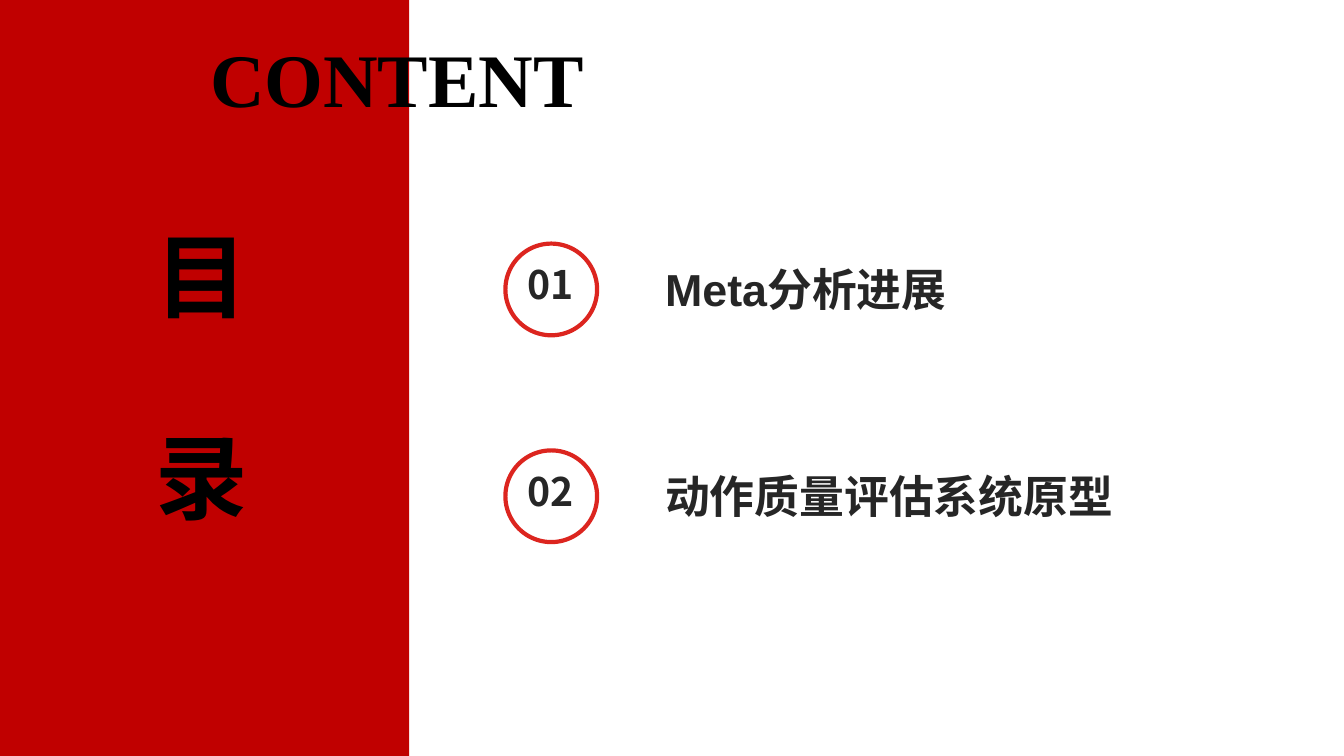
from dataclasses import dataclass

from lxml import etree
from pptx import Presentation
from pptx import util as u
from pptx.dml.color import RGBColor
from pptx.enum import shapes, text
from pptx.oxml import ns

RED = RGBColor(0xC0, 0x00, 0x00)
RING = RGBColor(0xDC, 0x25, 0x1F)
GREY = RGBColor(0x26, 0x26, 0x26)
BLACK = RGBColor(0x00, 0x00, 0x00)
WHITE = RGBColor(0xFF, 0xFF, 0xFF)
HAN = "Noto Sans CJK SC"
SERIF = "Times New Roman"
TOP, PITCH = 174, 147.7


@dataclass
class Box:
    left: float
    top: float
    width: float
    height: float

    def place(self) -> tuple:
        return tuple(u.Pt(v) for v in (self.left, self.top, self.width, self.height))


@dataclass
class Style:
    size: float
    face: str
    color: RGBColor
    align: text.PP_ALIGN = text.PP_ALIGN.CENTER
    anchor: text.MSO_ANCHOR = text.MSO_ANCHOR.TOP
    gap: float = 0


@dataclass
class Item:
    title: str
    face: str
    width: float


ITEMS = [
    Item("Meta分析进展", "Arial", 434.9),
    Item("动作质量评估系统原型", HAN, 347.8),
]


def add_shape(parent, kind: shapes.MSO_SHAPE, box: Box, fill: RGBColor):
    shape = parent.add_shape(kind, *box.place())
    shape.shadow.inherit = False
    shape.fill.solid()
    shape.fill.fore_color.rgb = fill
    shape.line.fill.background()
    return shape


def add_text(parent, lines: list[str], box: Box, style: Style) -> None:
    """Write bold lines, one paragraph each, parted by the style's gap."""
    frame = parent.add_textbox(*box.place()).text_frame
    frame.word_wrap = True
    frame.vertical_anchor = style.anchor
    frame.text = "\n".join(lines)
    for i, para in enumerate(frame.paragraphs):
        para.alignment = style.align
        para.line_spacing = 0.9
        if i:
            para.space_before = u.Pt(style.gap)
        font = para.font
        font.size, font.bold, font.name = u.Pt(style.size), True, style.face
        font.color.rgb = style.color
        base = para._p.pPr.find(ns.qn("a:defRPr"))
        etree.SubElement(base, ns.qn("a:ea")).set("typeface", HAN)


def add_item(slide, index: int, item: Item) -> None:
    group = slide.shapes.add_group_shape().shapes
    top = TOP + index * PITCH
    ring = add_shape(group, shapes.MSO_SHAPE.OVAL, Box(361, top, 65.5, 65.5), WHITE)
    ring.line.color.rgb = RING
    ring.line.width = u.Pt(3)
    add_text(group, [f"{index + 1:02}"], Box(366.5, top + 12.4, 53.3, 41),
             Style(28, HAN, GREY))
    add_text(group, [item.title], Box(468, top + 14, item.width, 46),
             Style(32, item.face, GREY, text.PP_ALIGN.LEFT))


def main() -> None:
    deck = Presentation()
    deck.slide_width, deck.slide_height = u.Pt(960), u.Pt(540)
    slide = deck.slides.add_slide(deck.slide_layouts[6])
    add_shape(slide.shapes, shapes.MSO_SHAPE.RECTANGLE, Box(0, 0, 292.3, 540), RED)
    for index, item in enumerate(ITEMS):
        add_item(slide, index, item)
    add_text(slide.shapes, ["CONTENT"], Box(118, 19.4, 331.2, 72.7),
             Style(54, SERIF, BLACK, anchor=text.MSO_ANCHOR.BOTTOM))
    add_text(slide.shapes, ["目", "录"], Box(-0.7, 162, 290.2, 247),
             Style(66, SERIF, BLACK, gap=72.5))
    deck.save("out.pptx")


if __name__ == "__main__":
    main()
